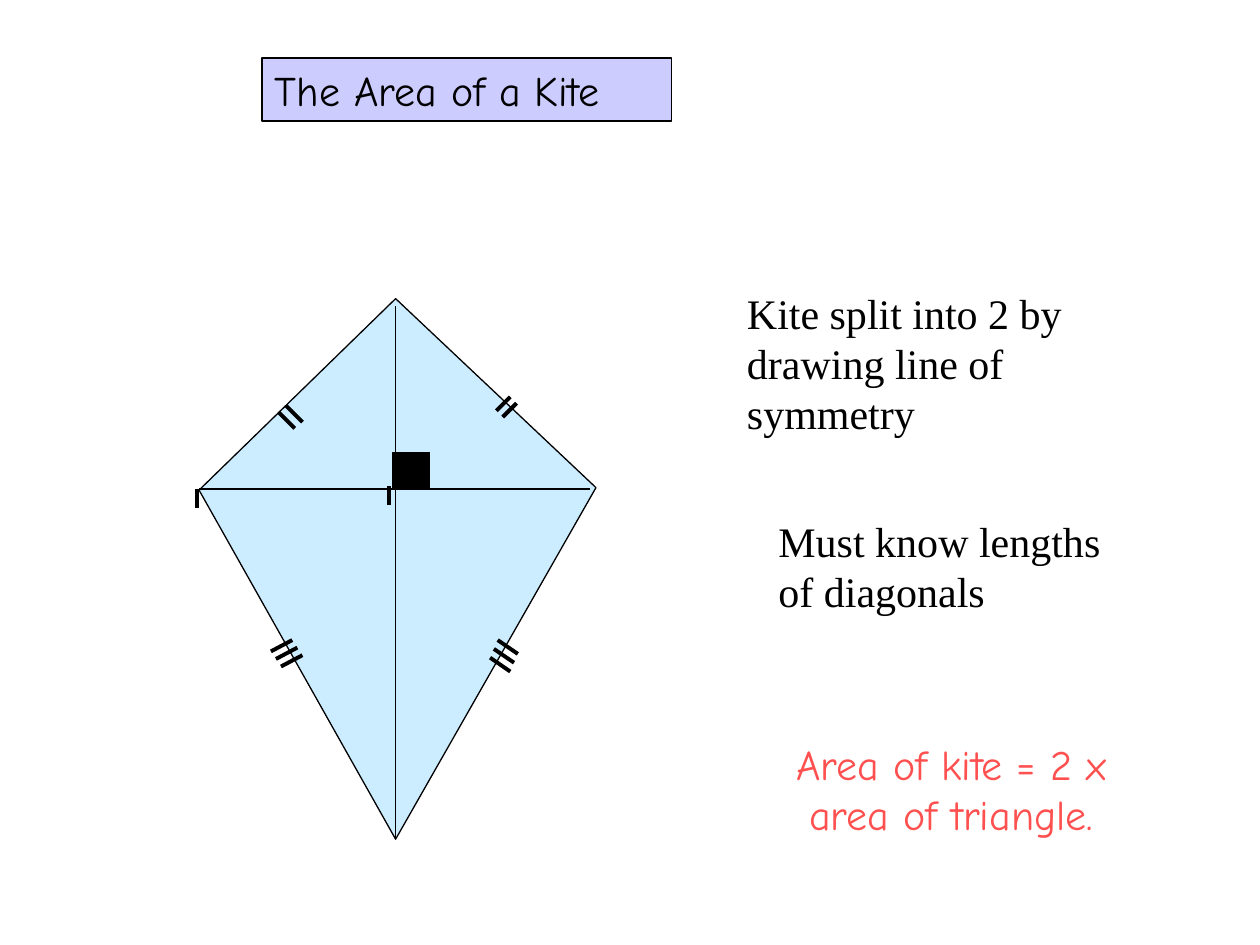
from dataclasses import dataclass

from lxml import etree
from pptx import Presentation
from pptx.dml.color import RGBColor
from pptx.enum import shapes, text
from pptx.oxml import ns
from pptx.util import Inches, Pt


@dataclass(frozen=True)
class Theme:
    """Colours, fonts and sizes of the slide."""
    ink: str = "000000"
    accent: str = "FF5050"
    title_fill: str = "CCCCFF"
    kite_fill: str = "CCECFF"
    hand: str = "Comic Neue"
    serif: str = "Times New Roman"
    size: int = 24
    thin: float = 0.75
    thick: float = 2.25


THEME = Theme()


def paint(sp, fill):
    """Give a shape a solid fill and a thin outline without shadow."""
    sp.fill.solid()
    sp.fill.fore_color.rgb = RGBColor.from_string(fill)
    sp.line.color.rgb = RGBColor.from_string(THEME.ink)
    sp.line.width = Pt(THEME.thin)


def write(sp, words, font, color=THEME.ink, align=text.PP_ALIGN.LEFT):
    """Write one wrapped paragraph from the top of a shape."""
    tf = sp.text_frame
    frame = {"word_wrap": True, "auto_size": text.MSO_AUTO_SIZE.NONE,
             "vertical_anchor": text.MSO_ANCHOR.TOP}
    for name, value in frame.items():
        setattr(tf, name, value)
    p = tf.paragraphs[0]
    p.alignment = align
    r = p.add_run()
    r.text = words
    for name, value in {"name": font, "size": Pt(THEME.size)}.items():
        setattr(r.font, name, value)
    r.font.color.rgb = RGBColor.from_string(color)


def add_line(s, x1, y1, x2, y2, width):
    """Draw a straight line between two points in inches."""
    line = s.shapes.add_connector(shapes.MSO_CONNECTOR.STRAIGHT,
                                  *map(Inches, (x1, y1, x2, y2)))
    line.line.color.rgb = RGBColor.from_string(THEME.ink)
    line.line.width = Pt(width)
    etree.SubElement(line._element.spPr, ns.qn("a:effectLst"))


def add_title(s, box, words):
    """Place and format the slide title."""
    sp = s.shapes.title
    for name, value in zip(("left", "top", "width", "height"), box):
        setattr(sp, name, Inches(value))
    paint(sp, THEME.title_fill)
    write(sp, words, THEME.hand)


def add_note(s, box, words, font, **style):
    """Place one text note."""
    write(s.shapes.add_textbox(*map(Inches, box)), words, font, **style)


def add_ticks(s, x, y, dx, dy, step_x, step_y, count):
    """Draw a row of parallel tick marks."""
    for i in range(count):
        x1, y1 = x + i * step_x, y + i * step_y
        add_line(s, x1, y1, x1 + dx, y1 + dy, THEME.thick)


def add_kite(s, box):
    """Draw the kite with its diagonals, right angle and tick marks."""
    left, top, width, height = box
    axis, cross = left + 1.56, top + 1.51
    bottom = top + height
    corners = [(axis, bottom), (left + width, top + 1.5), (axis, top),
               (left, top + 1.52)]
    points = [(Inches(x), Inches(y)) for x, y in corners]
    builder = s.shapes.build_freeform(*points[0])
    builder.add_line_segments(points[1:], close=True)
    kite = builder.convert_to_shape()
    kite.shadow.inherit = False
    paint(kite, THEME.kite_fill)

    add_line(s, axis, top + 0.06, axis, bottom, THEME.thin)
    add_line(s, left, cross, left + 3.1, cross, THEME.thin)
    side = 0.29
    corner = s.shapes.add_shape(
        shapes.MSO_SHAPE.RECTANGLE,
        *map(Inches, (axis - 0.02, cross - side, side, side)))
    corner.shadow.inherit = False
    paint(corner, THEME.ink)

    tick_rows = [
        (-0.02, 1.51, 0, 0.15, 1.53, -0.02, 2),
        (2.36, 0.89, 0.11, -0.11, 0.05, 0.05, 2),
        (0.63, 0.9, 0.13, 0.13, 0.06, -0.05, 2),
        (0.57, 2.8, 0.17, -0.09, 0.04, 0.06, 3),
        (2.37, 2.71, 0.16, 0.11, -0.03, 0.07, 3),
    ]
    for x, y, *rule in tick_rows:
        add_ticks(s, left + x, top + y, *rule)


def main():
    """Build the slide and save it."""
    prs = Presentation()
    prs.slide_width, prs.slide_height = Inches(10), Inches(7.5)
    s = prs.slides.add_slide(prs.slide_layouts[5])
    add_title(s, (2.08, 0.46, 3.25, 0.5), "The Area of a Kite")
    add_kite(s, (1.58, 2.37, 3.15, 4.29))
    add_note(s, (5.83, 2.23, 3.44, 1.3),
             "Kite split into 2 by drawing line of symmetry", THEME.serif)
    add_note(s, (6.08, 4.04, 2.9, 0.9), "Must know lengths of diagonals",
             THEME.serif)
    add_note(s, (6, 5.81, 3.1, 0.9), "Area of kite = 2 x area of triangle.",
             THEME.hand, color=THEME.accent, align=text.PP_ALIGN.CENTER)
    prs.save("out.pptx")


if __name__ == "__main__":
    main()
